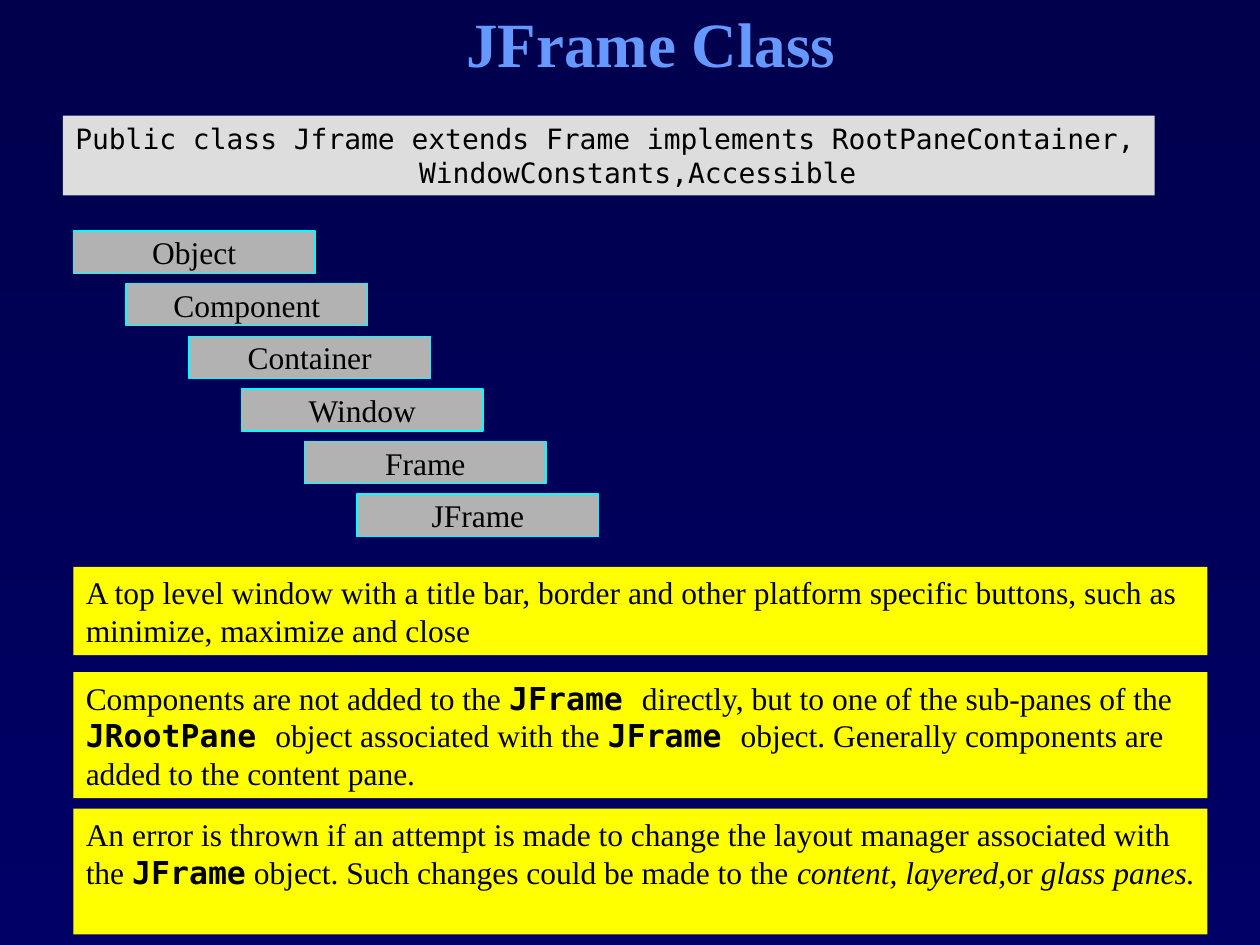
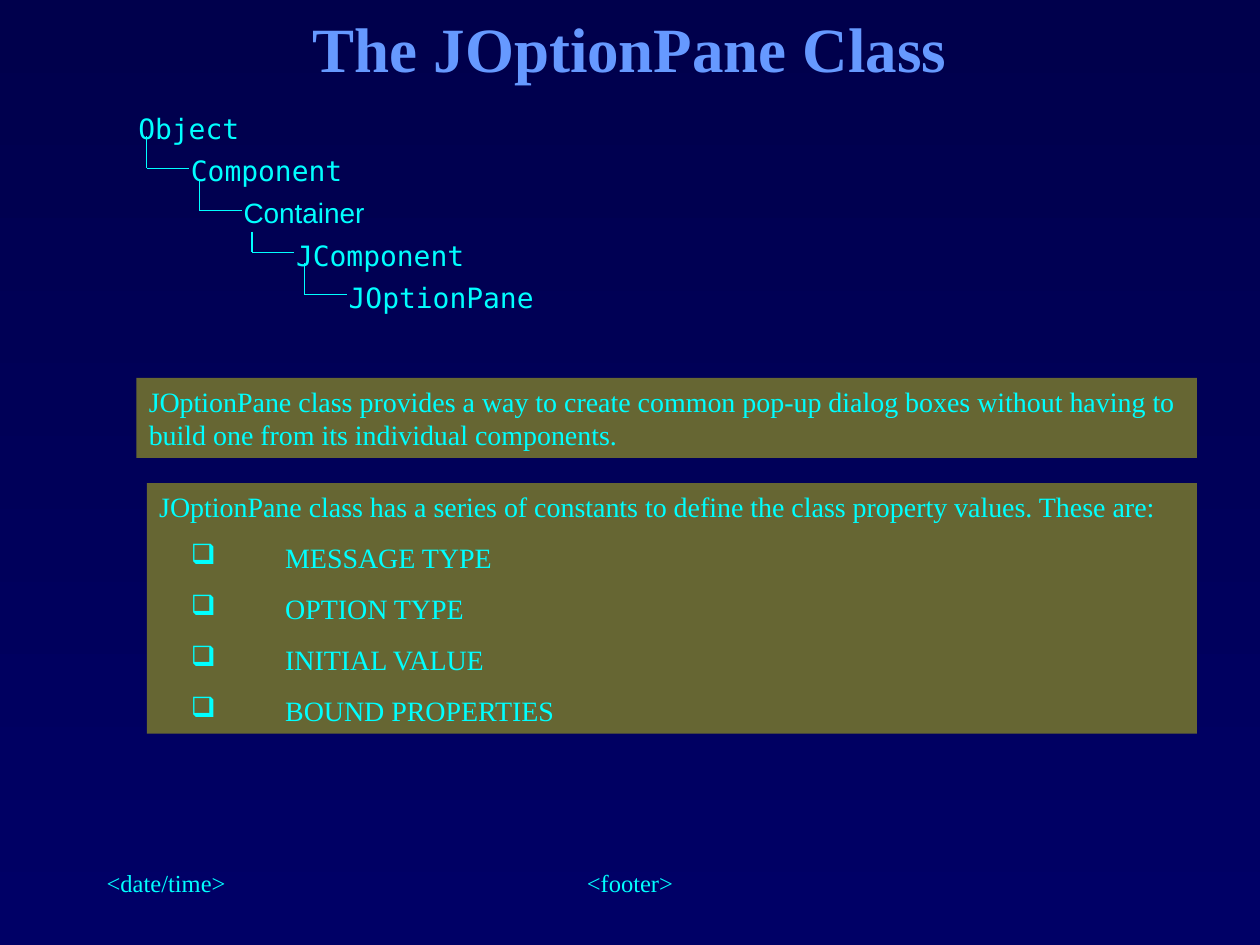
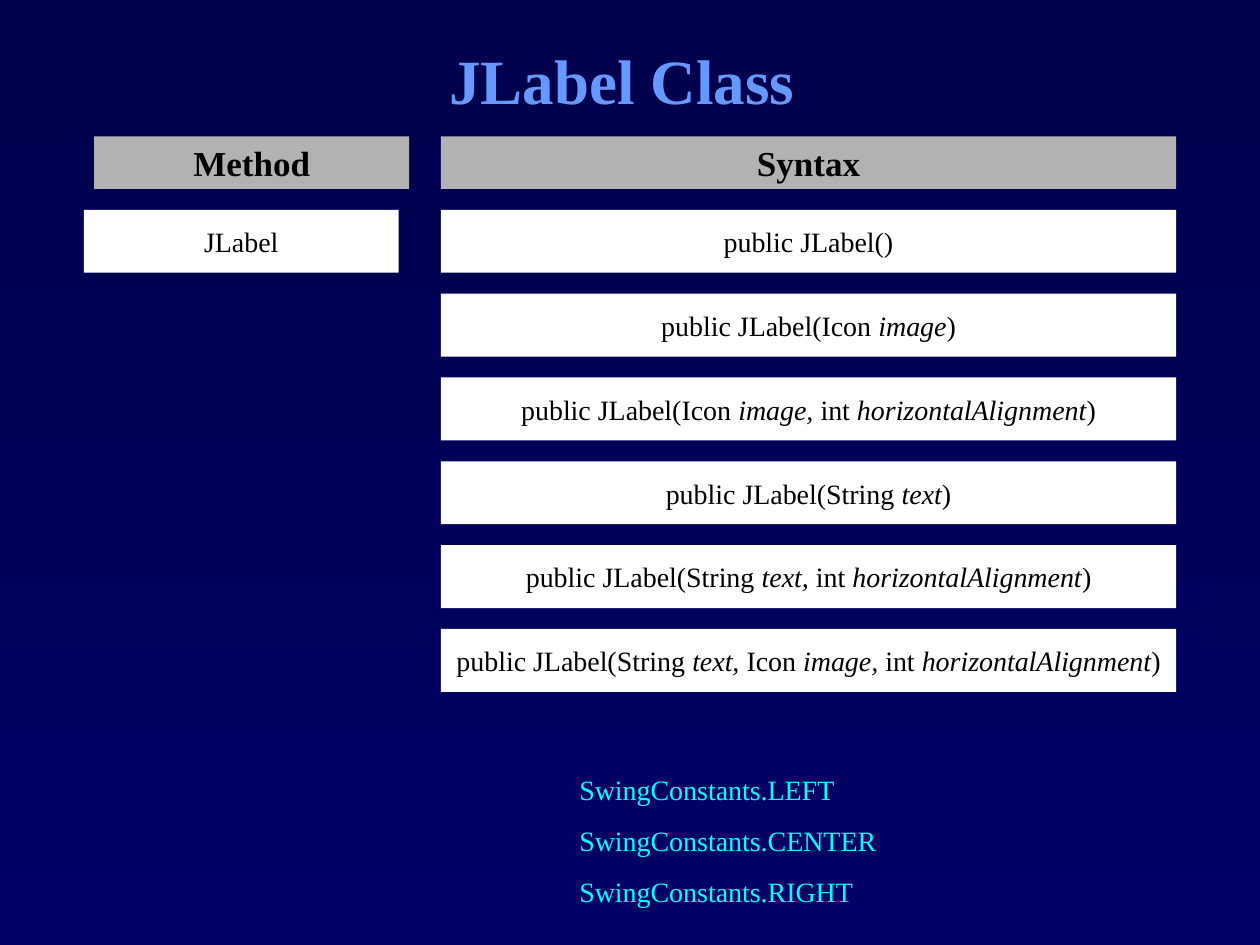
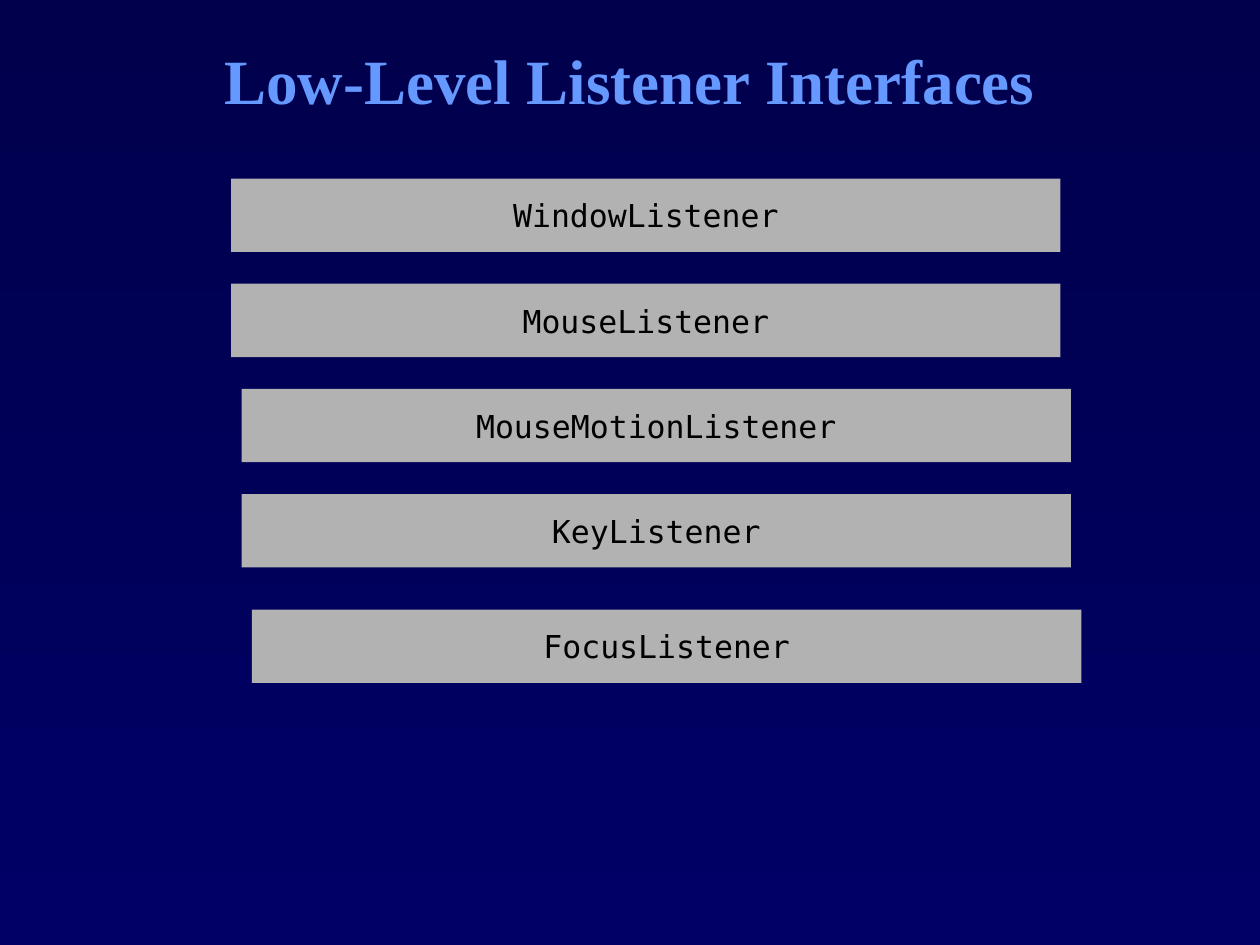
from lxml import etree
from pptx import Presentation
from pptx import util as u
from pptx.dml.color import RGBColor
from pptx.enum import shapes, text
from pptx.oxml import ns

COLORS = {
    "top": "00004C", "bottom": "000066", "title": "6699FF", "cyan": "00FFFF",
    "gray": "B2B2B2", "code": "DDDDDD", "yellow": "FFFF00", "olive": "666633",
    "white": "FFFFFF", "black": "000000",
}
SERIF, MONO, SANS = "Times New Roman", "DejaVu Sans Mono", "Arial"
LEFT, CENTER = text.PP_ALIGN.LEFT, text.PP_ALIGN.CENTER
TOP, MIDDLE = text.MSO_ANCHOR.TOP, text.MSO_ANCHOR.MIDDLE
STEP, NUDGE = 1.06, 0.21


def rgb(name):
    return RGBColor.from_string(COLORS[name])


def code(words):
    return words, "code"


def em(words):
    return words, "em"


def set_background(master):
    fill = master.background.fill
    fill.gradient()
    fill.gradient_angle = 270
    for stop, name in zip(fill.gradient_stops, ("top", "bottom")):
        stop.color.rgb = rgb(name)


def add_run(p, run, size, color, font=SERIF, bold=False):
    """Add a run given as a string or as a (words, style) pair."""
    words, style = (run, None) if isinstance(run, str) else run
    r = p.add_run()
    r.text = words
    r.font.name = MONO if style == "code" else font
    r.font.size = u.Pt(size)
    r.font.bold = bold or style == "code"
    r.font.italic = style == "em"
    r.font.color.rgb = rgb(color)


def set_frame(tf, anchor, wrap=True):
    tf.auto_size = text.MSO_AUTO_SIZE.NONE
    tf.word_wrap = wrap
    tf.vertical_anchor = anchor
    tf.margin_left = tf.margin_right = u.Cm(0.25)
    tf.margin_top = tf.margin_bottom = u.Cm(0.13)


def set_indent(p, left, first, bullet=None):
    pPr = p._p.get_or_add_pPr()
    pPr.set("marL", str(u.Cm(left)))
    pPr.set("indent", str(u.Cm(first)))
    if bullet:
        etree.SubElement(pPr, ns.qn("a:buChar")).set("char", bullet)


def add_title_slide(prs, title, box):
    s = prs.slides.add_slide(prs.slide_layouts[5])
    sp = s.shapes.title
    sp.left, sp.top, sp.width, sp.height = map(u.Cm, box)
    tf = sp.text_frame
    set_frame(tf, MIDDLE)
    p = tf.paragraphs[0]
    p.alignment = CENTER
    add_run(p, title, 36, "title", bold=True)
    return s


def add_text(s, box, paragraphs, size=16, color="cyan", fill=None, line=None,
             align=LEFT, anchor=TOP, wrap=True, **font):
    """Add a text box, or a rectangle if filled; each paragraph is a list of runs."""
    box = map(u.Cm, box)
    if fill:
        sp = s.shapes.add_shape(shapes.MSO_SHAPE.RECTANGLE, *box)
        sp.shadow.inherit = False
        sp.fill.solid()
        sp.fill.fore_color.rgb = rgb(fill)
        if line:
            sp.line.color.rgb = rgb(line)
            sp.line.width = u.Pt(0.75)
        else:
            sp.line.fill.background()
    else:
        sp = s.shapes.add_textbox(*box)
    tf = sp.text_frame
    set_frame(tf, anchor, wrap)
    for i, runs in enumerate(paragraphs):
        p = tf.add_paragraph() if i else tf.paragraphs[0]
        p.alignment = align
        if i:
            p.space_before = u.Pt(10)
        for run in runs:
            add_run(p, run, size, color, **font)
    return tf


def add_label(s, box, runs, size=16, fill="gray", **look):
    add_text(s, box, [runs], size, "black", fill, align=CENTER, anchor=MIDDLE,
             wrap=False, **look)


def add_line(s, x1, y1, x2, y2):
    c = s.shapes.add_connector(shapes.MSO_CONNECTOR.STRAIGHT, *map(u.Cm, (x1, y1, x2, y2)))
    c.line.color.rgb = rgb("cyan")
    c.line.width = u.Pt(0.75)
    etree.SubElement(c._element.spPr, ns.qn("a:effectLst"))


def add_class_stairs(s, x, y, names):
    for i, name in enumerate(names):
        box = (x + STEP * i + NUDGE * (i // 2), y + STEP * i, 4.87, 0.85)
        add_label(s, box, [name], 18, line="cyan")


def add_class_tree(s, x, y, nodes):
    """Draw a class tree; a node is name, font, width and length of its stem."""
    drop = 0.85
    for i, (name, font, width, _) in enumerate(nodes):
        add_text(s, (x + STEP * i, y + drop * i, width, 0.94), [[name]], font=font)
    for i, (_, _, _, stem) in enumerate(nodes[:-1]):
        line_x, line_y = x + 0.42 + STEP * i, y + 1.27 + drop * i
        add_line(s, line_x, line_y - stem, line_x, line_y)
        add_line(s, line_x, line_y, line_x + 0.85, line_y)


def add_syntax_rows(s, x, y, width, signatures):
    for i, runs in enumerate(signatures):
        add_label(s, (x, y + 1.69 * i, width, 1.27), runs, fill="white")


def add_listeners(s, x, y, names):
    for i, name in enumerate(names):
        box = (x + NUDGE * (i // 2), y + 2.12 * i + NUDGE * (i // 4), 16.72, 1.48)
        add_label(s, box, [name], 18, font=MONO)


def build_jframe(prs):
    s = add_title_slide(prs, "JFrame Class", (2.33, 0, 21.59, 1.69))
    tf = add_text(s, (1.27, 2.33, 22.01, 1.61),
                  [["Public class Jframe extends Frame implements RootPaneContainer, "
                    "WindowConstants,Accessible"]],
                  color="black", fill="code", font=MONO)
    set_indent(tf.paragraphs[0], 6.93, -6.93)
    add_class_stairs(s, 1.48, 4.66, ["Object", "Component", "Container", "Window",
                                     "Frame", "JFrame"])
    notes = [
        (11.43, 1.78, ["A top level window with a title bar, border and other platform "
                       "specific buttons, such as minimize, maximize and close"]),
        (13.55, 2.54, ["Components are not added to the ", code("JFrame "),
                       "directly, but to one of the sub-panes of the ",
                       code("JRootPane "), "object associated with the ",
                       code("JFrame "), "object. Generally components are added to "
                       "the content pane."]),
        (16.3, 2.54, ["An error is thrown if an attempt is made to change the layout "
                      "manager associated with the ", code("JFrame"),
                      " object. Such changes could be made to the ",
                      em("content, layered,"), "or ", em("glass panes.")]),
    ]
    for y, height, runs in notes:
        add_text(s, (1.48, y, 22.86, height), [runs], 18, "black", "yellow")


def build_joptionpane(prs):
    s = add_title_slide(prs, "The JOptionPane Class", (1.9, 0, 21.59, 1.9))
    add_class_tree(s, 2.54, 2.12, [
        ("Object", MONO, 5.72, 0.64),
        ("Component", MONO, 3.81, 0.64),
        ("Container", SANS, 3.81, 0.42),
        ("JComponent", MONO, 5.93, 0.64),
        ("JOptionPane", MONO, 5.72, 0),
    ])
    add_text(s, (2.75, 7.62, 21.38, 1.61),
             [["JOptionPane class provides a way to create common pop-up dialog boxes "
               "without having to build one from its individual components."]],
             fill="olive")
    constants = ["MESSAGE TYPE", "OPTION TYPE", "INITIAL VALUE", "BOUND PROPERTIES"]
    intro = ("JOptionPane class has a series of constants to define the class "
             "property values. These are:")
    tf = add_text(s, (2.96, 9.74, 21.17, 5.05), [[words] for words in [intro] + constants],
                  fill="olive")
    for p in tf.paragraphs[1:]:
        set_indent(p, 2.54, -1.9, "❑")
    add_text(s, (1.9, 17.36, 5.29, 1.27), [["<date/time>"]], 14)
    add_text(s, (8.68, 17.36, 8.04, 1.27), [["<footer>"]], 14, align=CENTER)


def build_jlabel(prs):
    s = add_title_slide(prs, "JLabel Class ", (1.9, 0, 21.59, 3.18))
    right, width = 8.89, 14.82
    add_label(s, (1.9, 2.75, 6.35, 1.06), ["Method"], 20, bold=True)
    add_label(s, (right, 2.75, width, 1.06), ["Syntax"], 20, bold=True)
    add_syntax_rows(s, 1.69, 4.23, 6.35, [["JLabel"]])
    icon, string = "public JLabel(Icon ", "public JLabel(String "
    alignment = ["int ", em("horizontalAlignment"), ")"]
    add_syntax_rows(s, right, 4.23, width, [
        ["public JLabel()"],
        [icon, em("image"), ")"],
        [icon, em("image, "), *alignment],
        [string, em("text"), ")"],
        [string, em("text, "), *alignment],
        [string, em("text, "), "Icon ", em("image, "), *alignment],
    ])
    add_text(s, (11.43, 15.45, 8.04, 3),
             [["SwingConstants." + side] for side in ("LEFT", "CENTER", "RIGHT")])


def build_listeners(prs):
    s = add_title_slide(prs, "Low-Level Listener Interfaces", (1.9, 0, 21.59, 3.18))
    add_listeners(s, 4.66, 3.6, ["WindowListener", "MouseListener", "MouseMotionListener",
                                 "KeyListener", "FocusListener"])


def main():
    prs = Presentation()
    prs.slide_width, prs.slide_height = u.Cm(25.4), u.Cm(19.05)
    set_background(prs.slide_master)
    for build in (build_jframe, build_joptionpane, build_jlabel, build_listeners):
        build(prs)
    prs.save("out.pptx")


if __name__ == "__main__":
    main()
